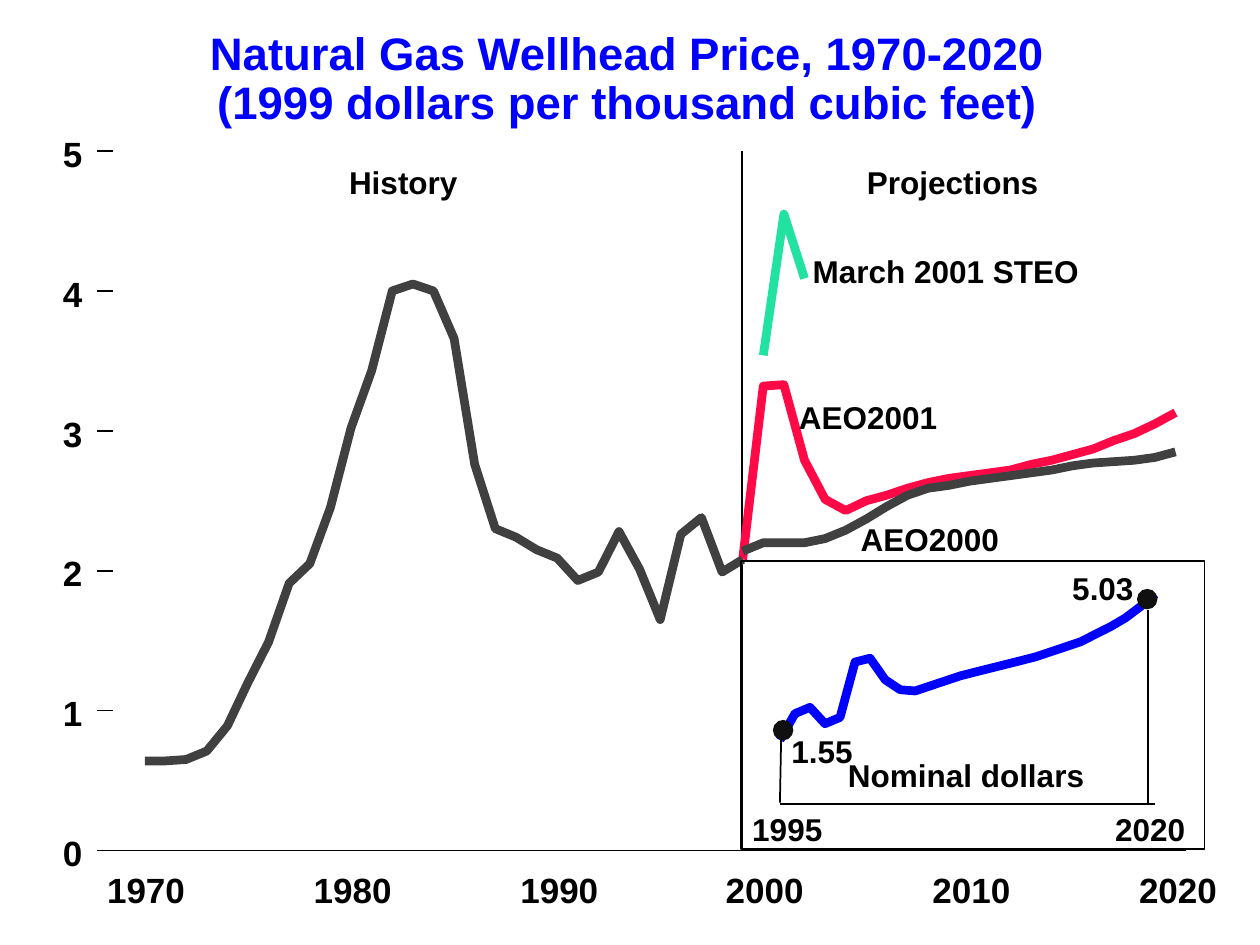
from dataclasses import dataclass

from lxml import etree
from pptx import Presentation
from pptx import util as u
from pptx.dml.color import RGBColor
from pptx.enum import shapes, text
from pptx.oxml.ns import qn

PX = 9144  # EMU, 100 px to the inch
BLACK = RGBColor(0x00, 0x00, 0x00)
BLUE = RGBColor(0x00, 0x00, 0xFF)
GREEN = RGBColor(0x22, 0xE2, 0xA1)
RED = RGBColor(0xFF, 0x0A, 0x47)
GRAY = RGBColor(0x40, 0x40, 0x40)
DOT = RGBColor(0x10, 0x10, 0x10)


@dataclass(frozen=True)
class Plot:
    """Maps years and prices to px; left and base are the first year and zero."""
    first_year: int
    left: int
    base: int
    per_year: float
    per_dollar: float

    def point(self, year: int, price: float) -> tuple[int, int]:
        return (round((self.left + (year - self.first_year) * self.per_year) * PX),
                round((self.base - price * self.per_dollar) * PX))


@dataclass(frozen=True)
class Series:
    plot: Plot
    start: int
    color: RGBColor
    prices: tuple[float, ...]


@dataclass(frozen=True)
class Label:
    words: str
    left: int
    top: int
    width: int


MAIN = Plot(1970, 115, 675, 16.36, 111)
INSET = Plot(1995, 619, 639, 11.92, 33.3)

STEO = Series(MAIN, 2000, GREEN, (3.54, 4.55, 4.09))
AEO2001 = Series(MAIN, 1999, RED, (
    2.08, 3.32, 3.33, 2.79, 2.51, 2.43, 2.50, 2.54, 2.59, 2.63, 2.66,
    2.68, 2.70, 2.72, 2.76, 2.79, 2.83, 2.87, 2.93, 2.98, 3.05, 3.13))
AEO2000 = Series(MAIN, 1999, GRAY, (
    2.14, 2.20, 2.20, 2.20, 2.23, 2.29, 2.37, 2.46, 2.54, 2.59, 2.61,
    2.64, 2.66, 2.68, 2.70, 2.72, 2.75, 2.77, 2.78, 2.79, 2.81, 2.85))
HISTORY = Series(MAIN, 1970, GRAY, (
    0.64, 0.64, 0.65, 0.71, 0.89, 1.20, 1.49, 1.91, 2.05, 2.45,
    3.02, 3.43, 4.00, 4.05, 4.00, 3.66, 2.76, 2.30, 2.24, 2.15,
    2.09, 1.93, 1.99, 2.28, 2.01, 1.65, 2.26, 2.38, 1.99, 2.08))
NOMINAL = Series(INSET, 1995, BLUE, (
    1.55, 2.18, 2.33, 1.94, 2.09, 3.41, 3.50, 2.99, 2.75, 2.72, 2.84, 2.96, 3.08,
    3.17, 3.26, 3.35, 3.44, 3.53, 3.65, 3.77, 3.89, 4.07, 4.25, 4.46, 4.73, 5.03))

PLOT_LABELS = (
    Label("History", 277, 129, 89),
    Label("Projections", 688, 129, 139),
    Label("AEO2001", 634, 316, 112),
    Label("AEO2000", 683, 413, 112),
    Label("March 2001 STEO", 645, 200, 214),
)
INSET_YEARS = (Label("1995", 597, 643, 58), Label("2020", 885, 643, 58))
INSET_LABELS = (
    Label("1.55", 628, 581, 51),
    Label("5.03", 851, 452, 51),
    Label("Nominal dollars", 673, 600, 191),
)


def draw_line(slide, x1: int, y1: int, x2: int, y2: int) -> None:
    rule = slide.shapes.add_connector(
        shapes.MSO_CONNECTOR.STRAIGHT, x1 * PX, y1 * PX, x2 * PX, y2 * PX)
    rule.line.color.rgb = BLACK
    rule.line.width = u.Pt(1)
    etree.SubElement(rule._element.spPr, qn("a:effectLst"))


def draw_series(slide, series: Series) -> None:
    first, *rest = [series.plot.point(year, price)
                    for year, price in enumerate(series.prices, series.start)]
    builder = slide.shapes.build_freeform(*first)
    builder.add_line_segments(rest, close=False)
    curve = builder.convert_to_shape()
    curve.shadow.inherit = False
    curve.fill.background()
    curve.line.color.rgb = series.color
    curve.line.width = u.Pt(5)


def draw_dot(slide, left: int, top: int) -> None:
    dot = slide.shapes.add_shape(
        shapes.MSO_SHAPE.OVAL, left * PX, top * PX, 15 * PX, 15 * PX)
    dot.shadow.inherit = False
    dot.fill.solid()
    dot.fill.fore_color.rgb = DOT
    dot.line.color.rgb = DOT
    dot.line.width = u.Pt(0.88)


def draw_frame(slide, left: int, top: int, width: int, height: int) -> None:
    frame = slide.shapes.add_shape(
        shapes.MSO_SHAPE.RECTANGLE, left * PX, top * PX, width * PX, height * PX)
    frame.shadow.inherit = False
    frame.fill.background()
    frame.line.color.rgb = BLACK
    frame.line.width = u.Pt(1)


def draw_text(slide, label: Label, *, height: int = 30, size: int = 18,
              color: RGBColor = BLACK, align=text.PP_ALIGN.LEFT,
              spacing: float = 1.0) -> None:
    box = slide.shapes.add_textbox(
        label.left * PX, label.top * PX, label.width * PX, height * PX)
    body = box.text_frame
    body.margin_left = body.margin_right = body.margin_top = body.margin_bottom = 0
    body.word_wrap = False
    body.auto_size = text.MSO_AUTO_SIZE.SHAPE_TO_FIT_TEXT
    body.text = label.words
    for paragraph in body.paragraphs:
        paragraph.alignment = align
        paragraph.line_spacing = spacing
        paragraph.font.name = "Arial"
        paragraph.font.size = u.Pt(size)
        paragraph.font.bold = True
        paragraph.font.color.rgb = color


def draw_axes(slide) -> None:
    for price in range(6):
        y = MAIN.base - price * MAIN.per_dollar
        draw_line(slide, 77, y, 90, y)
        draw_text(slide, Label(str(price), 50, y - 15, 17), height=33, size=20)
    draw_line(slide, 90, MAIN.base, 941, MAIN.base)
    for decade in range(6):
        year = Label(str(1970 + 10 * decade), 85 + round(163.8 * decade), 689, 63)
        draw_text(slide, year, height=33, size=20)


def draw_inset(slide) -> None:
    draw_series(slide, NOMINAL)
    draw_line(slide, 619, 638, 917, 638)
    for label in INSET_YEARS:
        draw_text(slide, label)
    draw_line(slide, 911, 639, 911, 484)
    draw_line(slide, 619, 637, 620, 584)
    draw_dot(slide, 903, 468)
    draw_dot(slide, 614, 572)
    draw_frame(slide, 588, 445, 368, 229)
    for label in INSET_LABELS:
        draw_text(slide, label)


def main() -> None:
    deck = Presentation()
    deck.slide_width, deck.slide_height = 1000 * PX, 750 * PX
    slide = deck.slides.add_slide(deck.slide_layouts[6])

    draw_line(slide, 589, 120, 589, 675)
    for series in (STEO, AEO2001, AEO2000, HISTORY):
        draw_series(slide, series)
    draw_axes(slide)
    for label in PLOT_LABELS:
        draw_text(slide, label)
    draw_inset(slide)
    title = Label("Natural Gas Wellhead Price, 1970-2020\n"
                  "(1999 dollars per thousand cubic feet)", 165, 25, 666)
    draw_text(slide, title, height=78, size=26, color=BLUE,
              align=text.PP_ALIGN.CENTER, spacing=0.9)
    deck.save("out.pptx")


if __name__ == "__main__":
    main()
